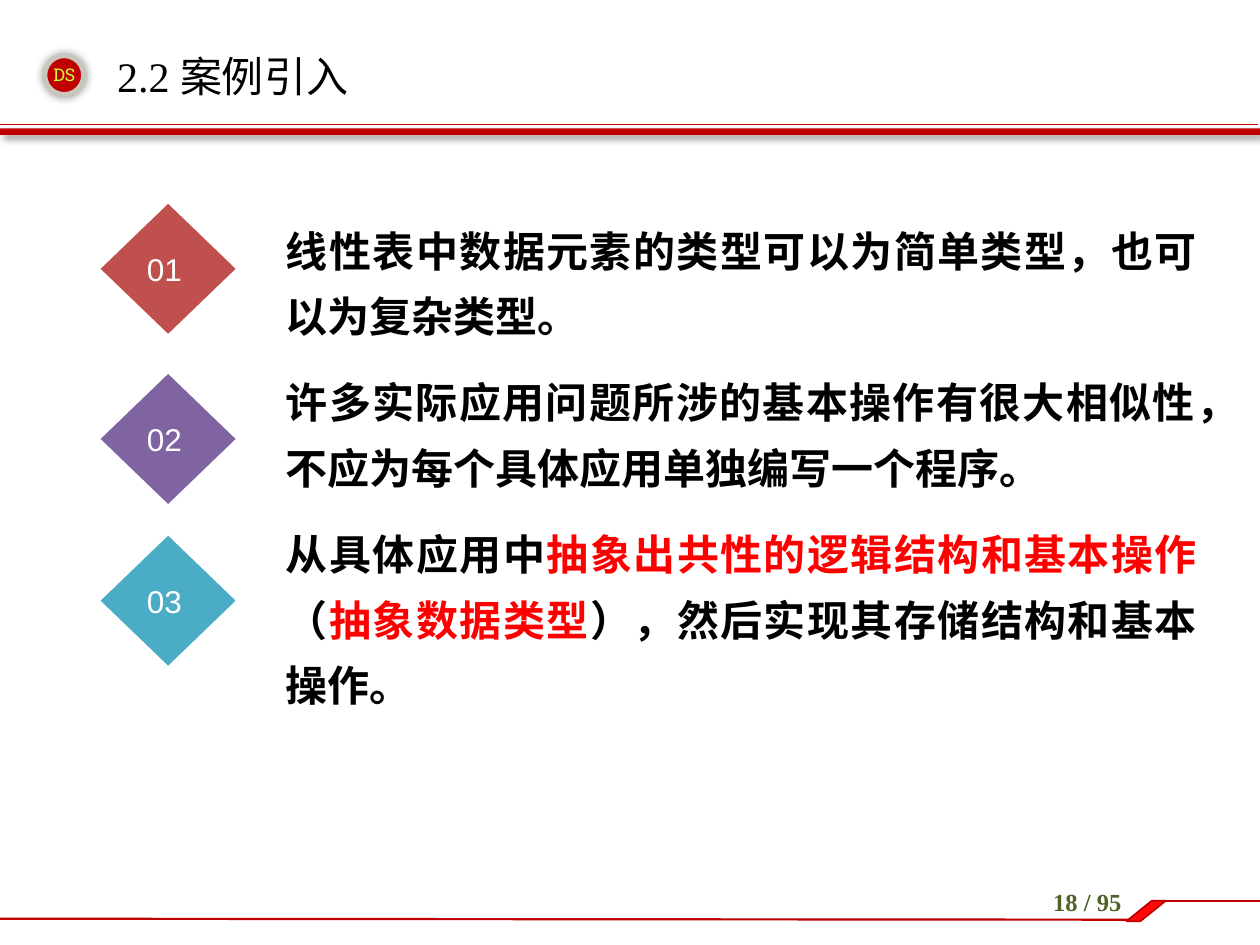
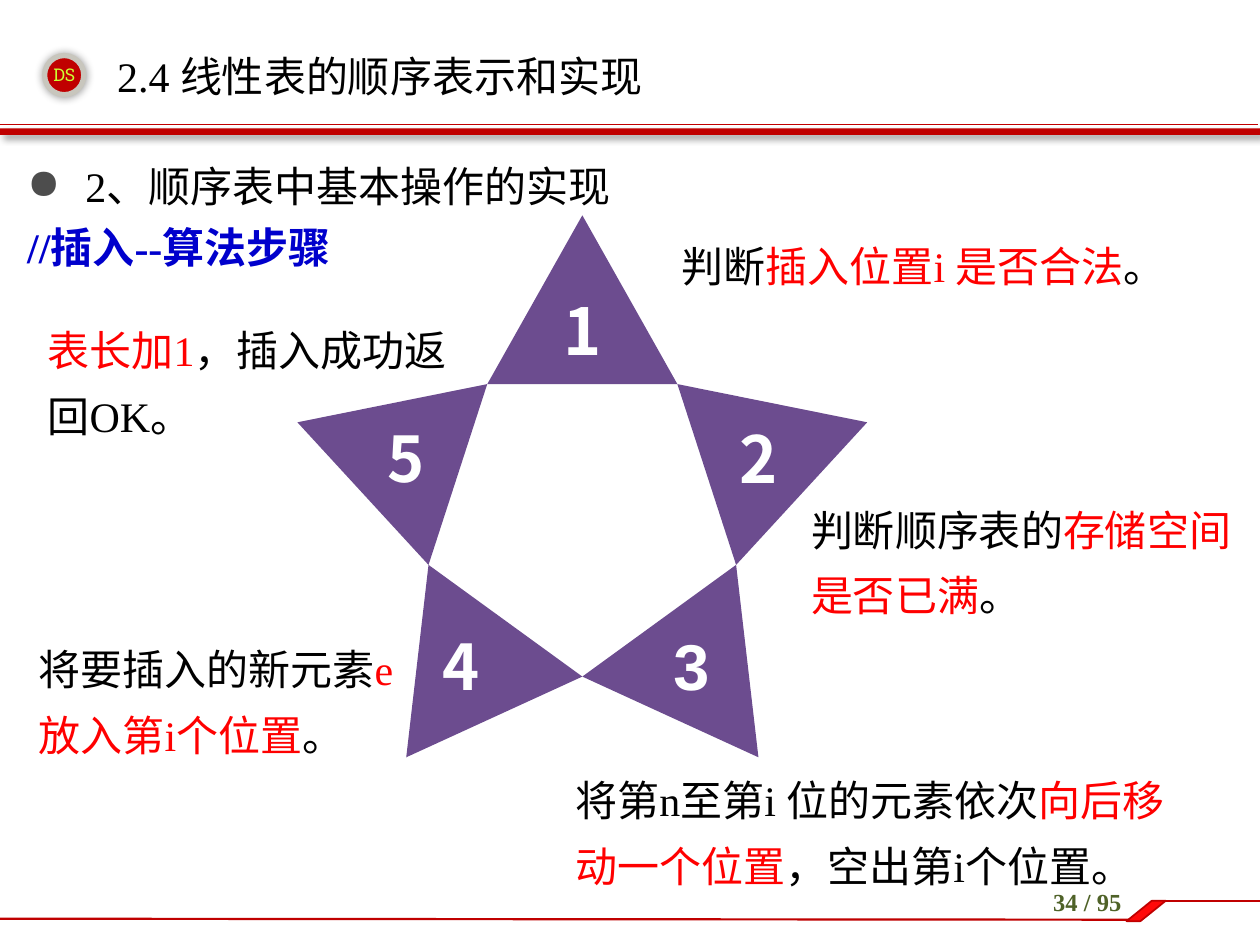
"""Build two slides on linear lists: a case introduction and the insertion steps."""
from dataclasses import dataclass
from math import cos, radians, sin
from typing import Any

from lxml import etree
from pptx import Presentation
from pptx.dml.color import RGBColor
from pptx.enum.shapes import MSO_CONNECTOR, MSO_SHAPE
from pptx.enum.text import MSO_ANCHOR, PP_ALIGN
from pptx.oxml.ns import qn
from pptx.util import Cm, Pt

BLACK = RGBColor(0x00, 0x00, 0x00)
WHITE = RGBColor(0xFF, 0xFF, 0xFF)
RED = RGBColor(0xFF, 0x00, 0x00)
BRIGHT_RED = RGBColor(0xFF, 0x09, 0x09)
DARK_RED = RGBColor(0xC0, 0x00, 0x00)
BADGE_RING = RGBColor(0xC8, 0xC6, 0xBD)
BADGE_TEXT = RGBColor(0xCC, 0xFF, 0x33)
PAGE_GREEN = RGBColor(0x4F, 0x62, 0x28)
BULLET_GREY = RGBColor(0x4D, 0x4D, 0x4D)
HEADING_BLUE = RGBColor(0x00, 0x00, 0xCC)
STAR_PURPLE = RGBColor(0x6C, 0x4C, 0x8F)
STAR_TEXT = RGBColor(0xFE, 0xFF, 0xFF)
BRICK = RGBColor(0xC0, 0x50, 0x4D)
VIOLET = RGBColor(0x80, 0x64, 0xA2)
TEAL = RGBColor(0x4B, 0xAC, 0xC6)

SERIF = "Times New Roman"
SANS = "Arial"
CJK = "Noto Sans CJK SC"
SLAB = "Roboto Slab"

LEFT, CENTER, JUSTIFY = PP_ALIGN.LEFT, PP_ALIGN.CENTER, PP_ALIGN.JUSTIFY
TOP, MIDDLE = MSO_ANCHOR.TOP, MSO_ANCHOR.MIDDLE
STRAIGHT = MSO_CONNECTOR.STRAIGHT
ELLIPSE, RECTANGLE = MSO_SHAPE.OVAL, MSO_SHAPE.RECTANGLE
PARALLELOGRAM, DIAMOND = MSO_SHAPE.PARALLELOGRAM, MSO_SHAPE.DIAMOND

PAGE_WIDTH, PAGE_HEIGHT = 25.4, 19.05
PAGE_COUNT = 95
STAR_X, STAR_Y = 11.74, 10.38
INNER_RADIUS, OUTER_RADIUS, NUMBER_RADIUS = 3.26, 6.04, 3.74
STEP_ANGLE = 72
NUMBER_SIZE = 1.56
NO_INSETS = {f"margin_{side}": 0 for side in ("left", "top", "right", "bottom")}


@dataclass(frozen=True)
class Box:
    """A place on the slide in centimetres."""
    left: float
    top: float
    width: float
    height: float

    def lengths(self) -> tuple[Cm, Cm, Cm, Cm]:
        """Give the place as slide lengths."""
        return Cm(self.left), Cm(self.top), Cm(self.width), Cm(self.height)


@dataclass(frozen=True)
class Words:
    """A stretch of text in one colour."""
    text: str
    color: RGBColor = BLACK


@dataclass(frozen=True)
class Style:
    """The look of a text."""
    size: float = 24
    font: str = SERIF
    bold: bool = False
    align: PP_ALIGN = LEFT
    line_spacing: float | None = None
    gap: float = 0


@dataclass(frozen=True)
class Marker:
    """A numbered diamond."""
    label: str
    top: float
    color: RGBColor


@dataclass(frozen=True)
class Point:
    """A numbered point of the star."""
    label: str
    font: str = CJK
    size: float = 37
    shift: float = 0


@dataclass(frozen=True)
class Step:
    """An explanation beside the star."""
    place: Box
    words: tuple[Words, ...]


TITLE = Style()
NOTE = Style(line_spacing=37.5)
POINTS = Style(font=CJK, bold=True, align=JUSTIFY, line_spacing=37.4, gap=12)
HEADING = Style(line_spacing=34.5)
SUBHEADING = Style(line_spacing=34.5, bold=True)

MARKERS = (
    Marker("01", 4.11, BRICK),
    Marker("02", 7.54, VIOLET),
    Marker("03", 10.8, TEAL),
)
CASE_POINTS = (
    (Words("线性表中数据元素的类型可以为简单类型，也可以为复杂类型。"),),
    (Words("许多实际应用问题所涉的基本操作有很大相似性，不应为每个具体应用单独编写一个程序。"),),
    (Words("从具体应用中"), Words("抽象出共性的逻辑结构和基本操作", RED), Words("（"),
     Words("抽象数据类型", RED), Words("），然后实现其存储结构和基本操作。")),
)
STAR_POINTS = (
    Point("1"),
    Point("2"),
    Point("3", font=SANS),
    Point("4", size=36, shift=-0.24),
    Point("5", size=36),
)
STEPS = (
    Step(Box(13.49, 4.42, 11.2, 1.52),
         (Words("判断"), Words("插入位置i 是否合法", RED), Words("。"))),
    Step(Box(16.1, 9.73, 9.22, 3.45),
         (Words("判断顺序表的"), Words("存储空间是否已满", RED), Words("。"))),
    Step(Box(11.35, 15.19, 13.13, 3.25),
         (Words("将第n至第i 位的元素依次"), Words("向后移动一个位置", RED),
          Words("，空出第i个位置。"))),
    Step(Box(0.53, 12.55, 8.46, 3.1),
         (Words("将要插入的新元素"), Words("e放入第i个位置", RED), Words("。"))),
    Step(Box(0.71, 6.12, 9.09, 2.97),
         (Words("表长加1", RED), Words("，插入成功返回OK。"))),
)


def apply(target: Any, values: dict[str, Any]) -> None:
    """Set each named value on the target."""
    for name, value in values.items():
        setattr(target, name, value)


def write(paragraph: Any, words: tuple[Words, ...], style: Style, first: bool = True) -> None:
    """Fill a paragraph with styled words."""
    apply(paragraph, {
        "alignment": style.align,
        "line_spacing": Pt(style.line_spacing) if style.line_spacing else None,
        "space_before": Pt(0 if first else style.gap),
    })
    for part in words:
        run = paragraph.add_run()
        run.text = part.text
        apply(run.font, {"size": Pt(style.size), "bold": style.bold, "name": style.font})
        run.font.color.rgb = part.color
        etree.SubElement(run.font._element, qn("a:ea"), typeface=CJK)


def add_text(slide: Any, place: Box, paragraphs: tuple[tuple[Words, ...], ...],
             style: Style, **frame_values: Any) -> Any:
    """Add a wrapped text box and return its frame."""
    frame = slide.shapes.add_textbox(*place.lengths()).text_frame
    apply(frame, {"word_wrap": True, "vertical_anchor": TOP, **frame_values})
    for index, words in enumerate(paragraphs):
        paragraph = frame.add_paragraph() if index else frame.paragraphs[0]
        write(paragraph, words, style, index == 0)
    return frame


def paint(shape: Any, fill: RGBColor, line: RGBColor | None = None, width: float = 1) -> None:
    """Give a shape a flat fill and an optional outline."""
    shape.shadow.inherit = False
    shape.fill.solid()
    shape.fill.fore_color.rgb = fill
    if line is None:
        shape.line.fill.background()
    else:
        shape.line.color.rgb = line
        shape.line.width = Pt(width)


def add_panel(slide: Any, kind: MSO_SHAPE, place: Box, fill: RGBColor,
              line: RGBColor | None = None, width: float = 1) -> Any:
    """Add a painted preset shape."""
    shape = slide.shapes.add_shape(kind, *place.lengths())
    paint(shape, fill, line, width)
    return shape


def cast_shadow(shape: Any, blur: float, distance: float, angle: int) -> None:
    """Give a shape a soft black shadow."""
    effects = shape._element.spPr.find(qn("a:effectLst"))
    shadow = etree.SubElement(effects, qn("a:outerShdw"), blurRad=str(Pt(blur)),
                              dist=str(Pt(distance)), dir=str(angle * 60000),
                              algn="ctr", rotWithShape="0")
    color = etree.SubElement(shadow, qn("a:srgbClr"), val=str(BLACK))
    etree.SubElement(color, qn("a:alpha"), val="40000")


def add_rule(slide: Any, start: tuple[float, float], end: tuple[float, float],
             width: float) -> None:
    """Add a straight dark red line."""
    rule = slide.shapes.add_connector(STRAIGHT, *map(Cm, start + end))
    rule.line.color.rgb = DARK_RED
    rule.line.width = Pt(width)
    etree.SubElement(rule._element.spPr, qn("a:effectLst"))


def add_bullet(paragraph: Any, indent: float) -> None:
    """Give a paragraph a grey round bullet."""
    properties = paragraph._p.get_or_add_pPr()
    properties.set("marL", str(Cm(indent)))
    properties.set("indent", str(-Cm(indent)))
    color = etree.SubElement(properties, qn("a:buClr"))
    etree.SubElement(color, qn("a:srgbClr"), val=str(BULLET_GREY))
    etree.SubElement(properties, qn("a:buChar"), char="●")


def add_page(deck: Any, title: str, number: int, title_style: Style = TITLE) -> Any:
    """Add a slide with the shared header and footer."""
    slide = deck.slides.add_slide(deck.slide_layouts[6])
    badge = add_panel(slide, ELLIPSE, Box(0.9, 1.12, 0.79, 0.79), DARK_RED, BADGE_RING, 3)
    cast_shadow(badge, 5, 0, 0)
    add_rule(slide, (0, 2.51), (25.35, 2.51), 0.25)
    band = add_panel(slide, RECTANGLE, Box(0, 2.59, PAGE_WIDTH, 0.13), DARK_RED)
    cast_shadow(band, 4, 3, 45)
    add_text(slide, Box(20.32, 17.75, 3.2, 1.02),
             ((Words(f"{number} / {PAGE_COUNT}", PAGE_GREEN),),),
             Style(size=14, bold=True, align=CENTER))
    add_rule(slide, (0, 18.52), (22.76, 18.54), 1.25)
    add_rule(slide, (23.29, 18.16), (PAGE_WIDTH, 18.16), 1.5)
    corner = add_panel(slide, PARALLELOGRAM, Box(22.71, 18.16, 0.79, 0.41),
                       BRIGHT_RED, DARK_RED)
    corner.adjustments[0] = 1.24
    add_text(slide, Box(0.61, 1.17, 1.37, 0.69), ((Words("DS", BADGE_TEXT),),),
             Style(size=10, font=SLAB, align=CENTER))
    add_text(slide, Box(2.11, 0.76, 20.19, 1.55), ((Words(title),),), title_style,
             vertical_anchor=MIDDLE)
    return slide


def star_position(radius: float, angle: float) -> tuple[float, float]:
    """Find a place around the star's centre, clockwise from the top."""
    turn = radians(angle)
    return STAR_X + radius * sin(turn), STAR_Y - radius * cos(turn)


def add_star_point(slide: Any, point: Point, angle: float) -> None:
    """Add one triangle of the star with its number."""
    half = STEP_ANGLE / 2
    corners = [tuple(map(Cm, star_position(radius, angle + turn)))
               for radius, turn in ((INNER_RADIUS, -half), (OUTER_RADIUS, 0),
                                    (INNER_RADIUS, half))]
    builder = slide.shapes.build_freeform(*corners[0], scale=1.0)
    builder.add_line_segments(corners[1:], close=True)
    paint(builder.convert_to_shape(), STAR_PURPLE)
    x, y = star_position(NUMBER_RADIUS, angle)
    place = Box(x + point.shift - NUMBER_SIZE / 2, y - NUMBER_SIZE / 2,
                NUMBER_SIZE, NUMBER_SIZE)
    add_text(slide, place, ((Words(point.label, STAR_TEXT),),),
             Style(point.size, point.font, True, CENTER),
             vertical_anchor=MIDDLE, **NO_INSETS)


def add_case_slide(deck: Any) -> None:
    """Build the case introduction."""
    slide = add_page(deck, "2.2 案例引入", 18, Style(align=JUSTIFY))
    add_text(slide, Box(5.51, 4.11, 18.87, 10.59), CASE_POINTS, POINTS)
    for marker in MARKERS:
        diamond = add_panel(slide, DIAMOND, Box(2.03, marker.top, 2.72, 2.62), marker.color)
        diamond.text_frame.vertical_anchor = MIDDLE
        write(diamond.text_frame.paragraphs[0], (Words(marker.label, WHITE),),
              Style(18, SANS, align=JUSTIFY))


def add_insertion_slide(deck: Any) -> None:
    """Build the steps of inserting into a sequential list."""
    slide = add_page(deck, "2.4 线性表的顺序表示和实现", 34)
    frame = add_text(slide, Box(0.3, 2.92, 24.61, 3.2),
                     ((Words("2、顺序表中基本操作的实现"),),), HEADING)
    add_bullet(frame.paragraphs[0], 1.17)
    write(frame.add_paragraph(), (Words("//插入--算法步骤", HEADING_BLUE),), SUBHEADING)
    for index, point in enumerate(STAR_POINTS):
        add_star_point(slide, point, index * STEP_ANGLE)
    for step in STEPS:
        add_text(slide, step.place, (step.words,), NOTE)


def main() -> None:
    """Build and save the presentation."""
    deck = Presentation()
    apply(deck, {"slide_width": Cm(PAGE_WIDTH), "slide_height": Cm(PAGE_HEIGHT)})
    add_case_slide(deck)
    add_insertion_slide(deck)
    deck.save("out.pptx")


if __name__ == "__main__":
    main()
